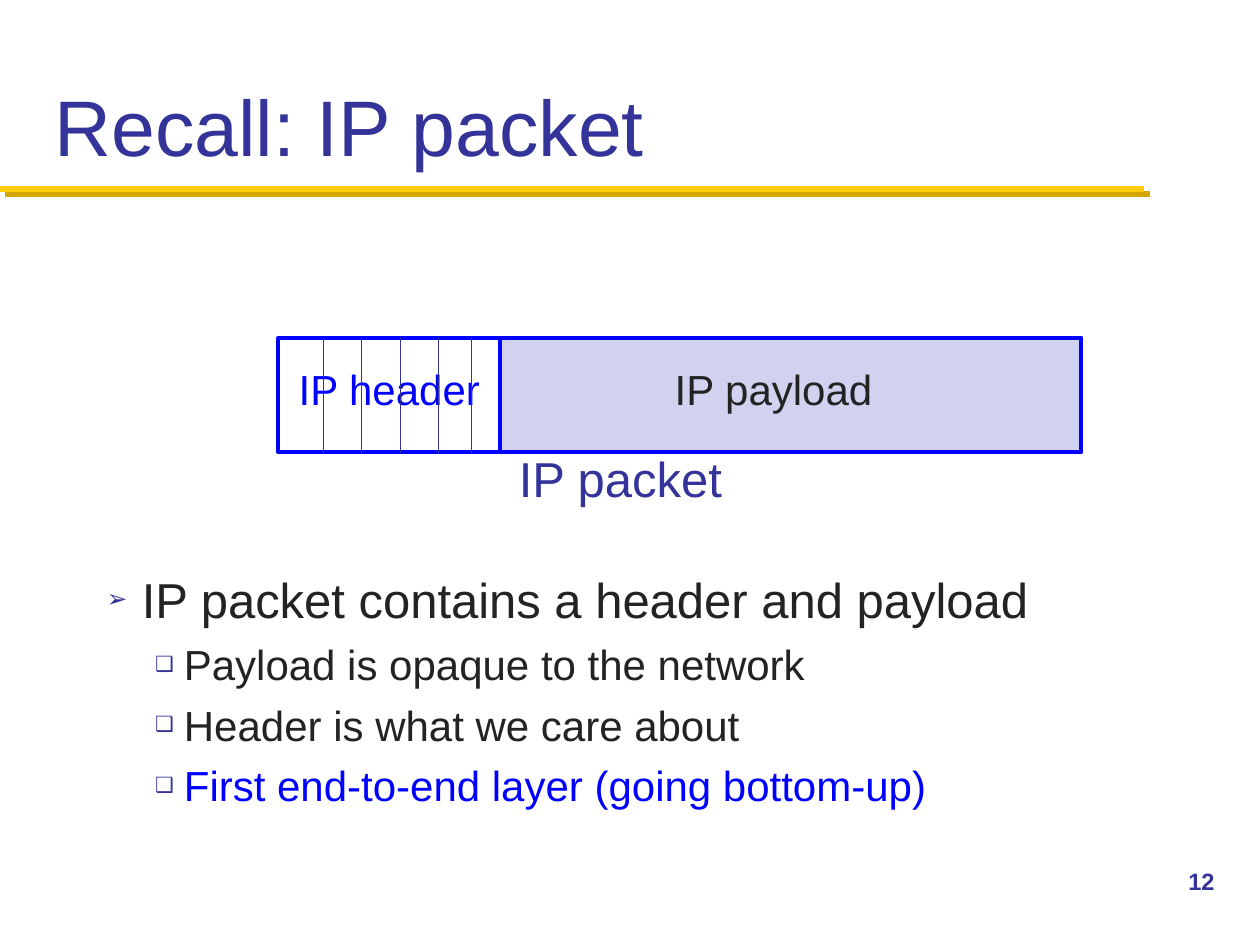
"""Build a slide that shows the parts of an IP packet."""
from dataclasses import dataclass

from lxml.etree import SubElement
from pptx import Presentation
from pptx.dml.color import RGBColor
from pptx.enum.dml import MSO_LINE
from pptx.enum.shapes import MSO_CONNECTOR, MSO_SHAPE
from pptx.enum.text import MSO_ANCHOR, PP_ALIGN
from pptx.oxml.ns import qn
from pptx.util import Pt


@dataclass(frozen=True)
class Theme:
    font: str = "Arial"
    navy: str = "333399"
    ink: str = "232323"
    blue: str = "0000FF"
    pale: str = "D1D1F0"
    white: str = "FFFFFF"
    gold: str = "FFCB05"
    shade: str = "D3A600"
    title: float = 45
    large: float = 28
    small: float = 24
    page: float = 13.5


THEME = Theme()


def add_run(para, text, size, color, bold=False):
    run = para.add_run()
    run.text = text
    font = run.font
    font.name, font.size, font.bold = THEME.font, Pt(size), bold
    font.color.rgb = RGBColor.from_string(color)


def add_box(slide, left, top, width, height):
    box = slide.shapes.add_textbox(Pt(left), Pt(top), Pt(width), Pt(height))
    box.text_frame.word_wrap = True
    return box.text_frame


def add_label(slide, area, text, size, color, align=PP_ALIGN.CENTER, bold=False):
    frame = add_box(slide, *area)
    para = frame.paragraphs[0]
    para.alignment = align
    add_run(para, text, size, color, bold)
    return frame


def add_block(slide, left, top, width, height, fill):
    block = slide.shapes.add_shape(
        MSO_SHAPE.RECTANGLE, Pt(left), Pt(top), Pt(width), Pt(height))
    block.shadow.inherit = False
    block.fill.solid()
    block.fill.fore_color.rgb = RGBColor.from_string(fill)
    block.line.color.rgb = RGBColor.from_string(THEME.blue)
    block.line.width = Pt(2.25)


def add_line(slide, start, end, color, width, dash=None):
    line = slide.shapes.add_connector(
        MSO_CONNECTOR.STRAIGHT, *map(Pt, start + end))
    line.line.color.rgb = RGBColor.from_string(color)
    line.line.width = Pt(width)
    if dash:
        line.line.dash_style = dash
    SubElement(line._element.spPr, qn("a:effectLst"))


def set_bullet(para, mark, left, hang, level):
    para.level = level
    props = para._p.get_or_add_pPr()
    props.set("marL", str(Pt(left)))
    props.set("indent", str(-Pt(hang)))
    tint = SubElement(props, qn("a:buClr"))
    SubElement(tint, qn("a:srgbClr"), val=THEME.navy)
    SubElement(props, qn("a:buSzPct"), val="50000")
    SubElement(props, qn("a:buFont"), typeface=THEME.font)
    SubElement(props, qn("a:buChar"), char=mark)


def add_list(slide, area, items):
    frame = add_box(slide, *area)
    for place, (text, level, color) in enumerate(items):
        para = frame.add_paragraph() if place else frame.paragraphs[0]
        if level:
            set_bullet(para, "❑", 44, 16.5, level)
        else:
            set_bullet(para, "➢", 20, 20, level)
        if place:
            para.space_before = Pt(5.8)
        add_run(para, text, THEME.small if level else THEME.large, color)


def add_packet(slide):
    left, split, right, top, height = 159, 286, 618, 193, 65.5
    add_block(slide, left, top, split - left, height, THEME.white)
    add_block(slide, split, top, right - split, height, THEME.pale)
    add_label(slide, (153.5, 204, 138, 36), "IP header", THEME.small, THEME.blue)
    add_label(slide, (296, 204, 292, 36), "IP payload", THEME.small, THEME.ink)
    for across in (184.5, 206.5, 228.5, 250.5, 269.5):
        add_line(slide, (across, top), (across, top + height),
                 THEME.navy, 0.25, MSO_LINE.ROUND_DOT)
    add_label(slide, (273.5, 253, 162, 41), "IP packet", THEME.large, THEME.navy)


def main():
    deck = Presentation()
    deck.slide_width, deck.slide_height = Pt(720), Pt(540)
    slide = deck.slides.add_slide(deck.slide_layouts[6])
    for shift, color in ((3, THEME.shade), (0, THEME.gold)):
        add_line(slide, (shift, 108 + shift), (654 + shift, 108 + shift), color, 3.5)
    title = add_label(slide, (24, 12, 672, 90), "Recall: IP packet",
                      THEME.title, THEME.navy, PP_ALIGN.LEFT)
    title.vertical_anchor = MSO_ANCHOR.BOTTOM
    add_list(slide, (54, 322, 624, 153), (
        ("IP packet contains a header and payload", 0, THEME.ink),
        ("Payload is opaque to the network", 1, THEME.ink),
        ("Header is what we care about", 1, THEME.ink),
        ("First end-to-end layer (going bottom-up)", 1, THEME.blue),
    ))
    add_label(slide, (672, 492, 48, 36), "12", THEME.page, THEME.navy,
              PP_ALIGN.LEFT, True)
    add_packet(slide)
    deck.save("out.pptx")


if __name__ == "__main__":
    main()
